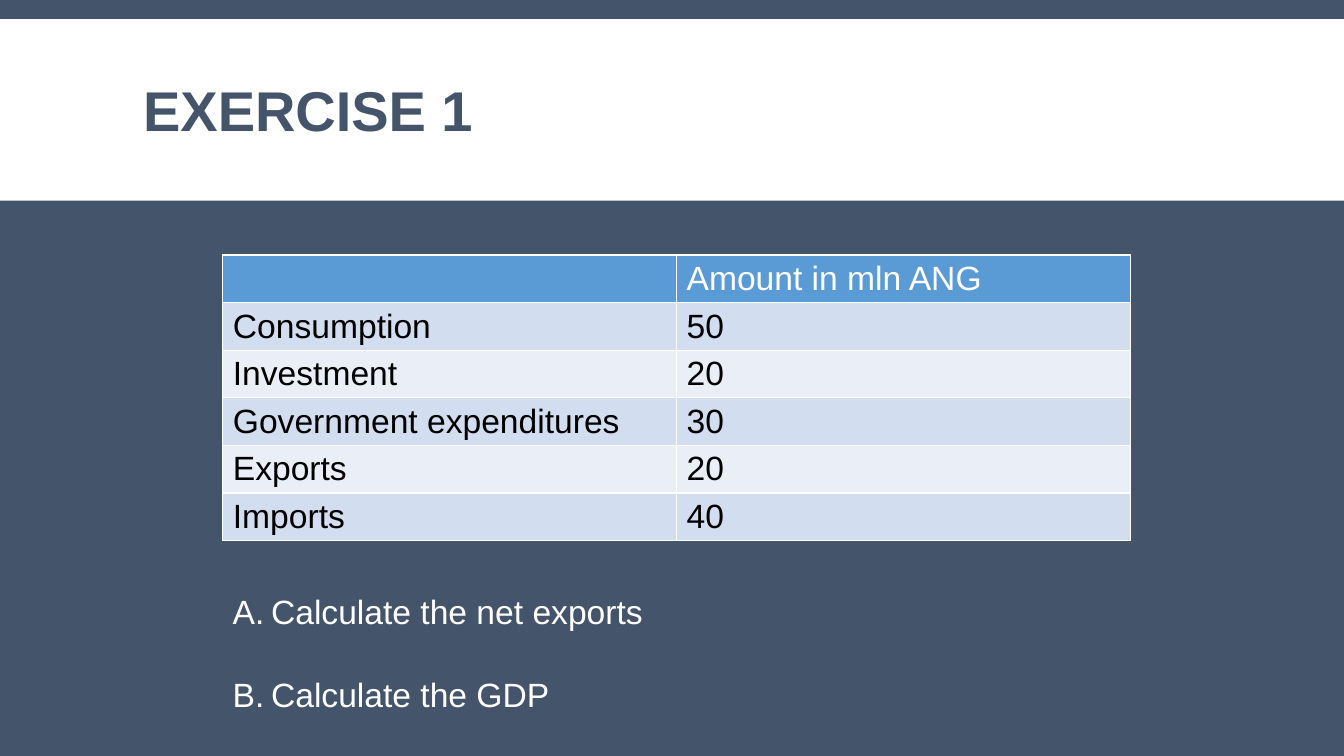
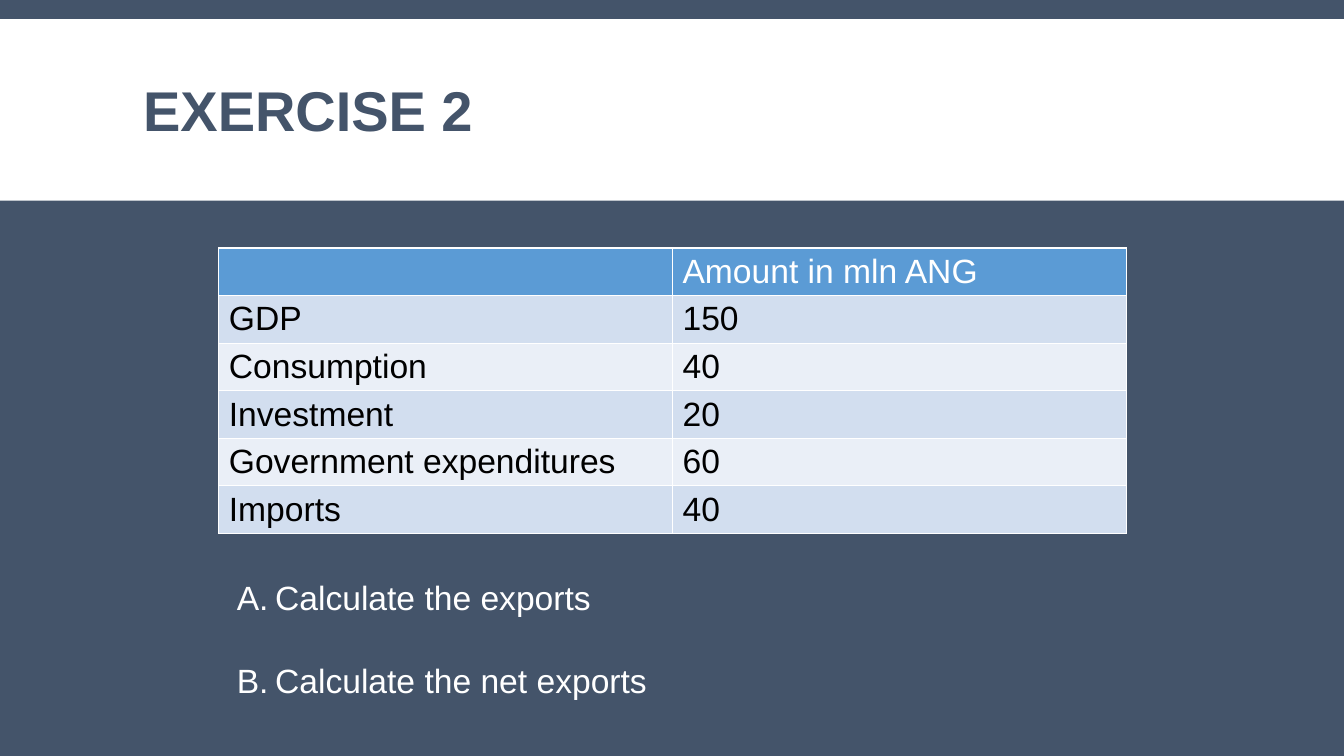
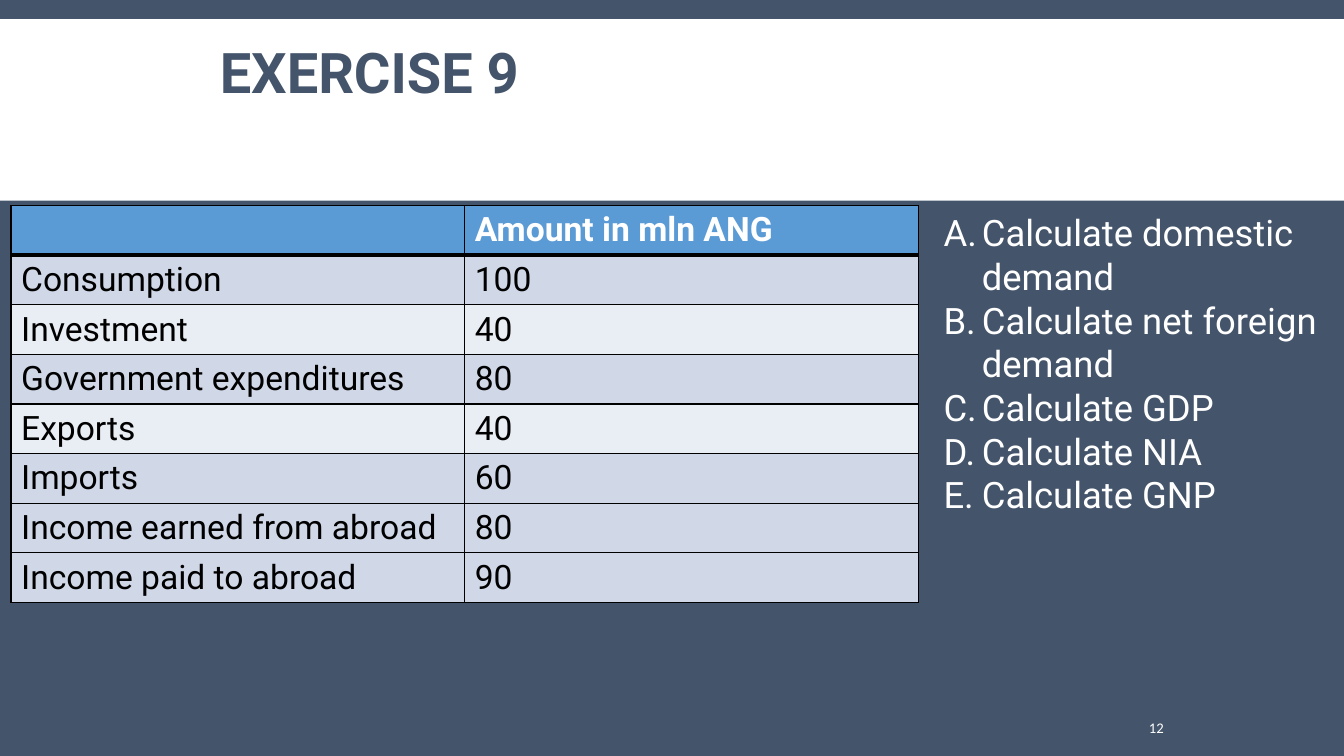
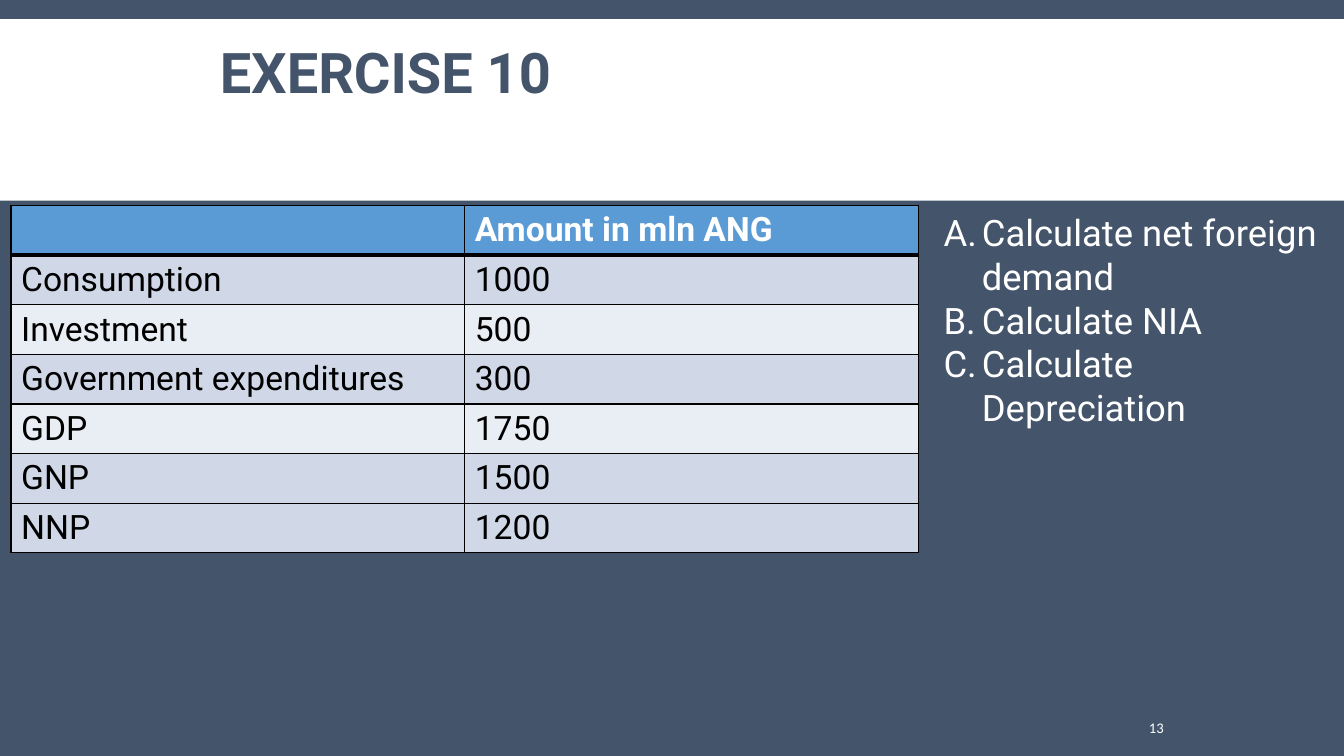
"""Build four national-accounts exercise slides."""
from dataclasses import dataclass

from lxml import etree
from pptx import Presentation
from pptx.dml.color import RGBColor
from pptx.enum import shapes, text
from pptx.oxml import ns
from pptx.util import Inches, Pt

COLORS = {
    "slate": "44546A",
    "white": "FFFFFF",
    "black": "000000",
    "header": "5B9BD5",
    "pale_blue": "D2DEEF",
    "paler_blue": "EAEFF7",
    "pale_grey": "D0D8E8",
    "paler_grey": "E9EDF4",
}
SLIDE_WIDTH, SLIDE_HEIGHT = 13.33, 7.5
COLUMN_WIDTH, ROW_HEIGHT = 4.5, 0.41
LIGHT_ROWS = (2, 4)
LIST_INDENT = 0.38


@dataclass(frozen=True)
class Frame:
    left: float
    top: float
    width: float
    height: float

    def lengths(self) -> tuple:
        return tuple(Inches(v) for v in (self.left, self.top, self.width, self.height))


@dataclass(frozen=True)
class Style:
    font: str
    title: Frame
    border: str
    header_rule: float
    header_bold: bool
    row_fill: str
    light_fill: str
    question_size: float
    question_gap: float


@dataclass(frozen=True)
class Exercise:
    title: str
    style: Style
    table_at: tuple[float, float]
    amounts: dict[str, int]
    questions_at: Frame
    questions: tuple[str, ...]
    page_number: str = ""


BASIC = Style("Arial", Frame(1.32, 0.31, 10.7, 1.65), "white", 1, False,
              "pale_blue", "paler_blue", 24, 31)
ADVANCED = Style("Roboto", Frame(2.08, 0.17, 9, 1.17), "black", 3, True,
                 "pale_grey", "paler_grey", 26, 0)
BAND = Frame(0, 0.19, SLIDE_WIDTH, 1.8)
PAGE_NUMBER = Frame(6.12, 7.02, 5.52, 0.4)

EXERCISES = (
    Exercise(
        "EXERCISE 1", BASIC, (2.21, 2.53),
        {"Consumption": 50, "Investment": 20, "Government expenditures": 30,
         "Exports": 20, "Imports": 40},
        Frame(2.21, 5.81, 8.92, 1.62),
        ("Calculate the net exports", "Calculate the GDP"),
    ),
    Exercise(
        "EXERCISE 2", BASIC, (2.17, 2.46),
        {"GDP": 150, "Consumption": 40, "Investment": 20,
         "Government expenditures": 60, "Imports": 40},
        Frame(2.25, 5.67, 8.92, 1.62),
        ("Calculate the exports", "Calculate the net exports"),
    ),
    Exercise(
        "EXERCISE 9", ADVANCED, (0.11, 2.04),
        {"Consumption": 100, "Investment": 40, "Government expenditures": 80,
         "Exports": 40, "Imports": 60, "Income earned from abroad": 80,
         "Income paid to abroad": 90},
        Frame(9.26, 2.04, 3.95, 3.47),
        ("Calculate domestic demand", "Calculate net foreign demand",
         "Calculate GDP", "Calculate NIA", "Calculate GNP"),
        "12",
    ),
    Exercise(
        "EXERCISE 10", ADVANCED, (0.11, 2.04),
        {"Consumption": 1000, "Investment": 500, "Government expenditures": 300,
         "GDP": 1750, "GNP": 1500, "NNP": 1200},
        Frame(9.26, 2.04, 3.95, 2.59),
        ("Calculate net foreign demand", "Calculate NIA", "Calculate Depreciation"),
        "13",
    ),
)


def rgb(color: str) -> RGBColor:
    return RGBColor.from_string(COLORS[color])


def set_font(para, name: str, size: float, color: str, bold: bool = False) -> None:
    para.font.name = name
    para.font.size = Pt(size)
    para.font.bold = bold
    para.font.color.rgb = rgb(color)


def add_layout_band(page, layout) -> None:
    band = page.shapes.add_shape(shapes.MSO_SHAPE.RECTANGLE, *BAND.lengths())
    band.shadow.inherit = False
    band.fill.solid()
    band.fill.fore_color.rgb = rgb("white")
    band.line.fill.background()
    layout.shapes.element.insert(2, band.element)


def format_title(page, exercise: Exercise) -> None:
    title = page.shapes.title
    title.left, title.top, title.width, title.height = exercise.style.title.lengths()
    frame = title.text_frame
    frame.text = exercise.title
    frame.auto_size = text.MSO_AUTO_SIZE.NONE
    frame.vertical_anchor = text.MSO_ANCHOR.MIDDLE
    para = frame.paragraphs[0]
    para.alignment = text.PP_ALIGN.LEFT
    para.line_spacing = 0.85
    set_font(para, exercise.style.font, 40, "slate", True)


def set_borders(cell, color: str, top: float, bottom: float) -> None:
    properties = cell._tc.get_or_add_tcPr()
    for side, width in (("L", 1), ("R", 1), ("T", top), ("B", bottom)):
        line = etree.SubElement(properties, ns.qn(f"a:ln{side}"), w=str(Pt(width)))
        fill = etree.SubElement(line, ns.qn("a:solidFill"))
        etree.SubElement(fill, ns.qn("a:srgbClr"), val=COLORS[color])


def add_amounts(page, exercise: Exercise) -> None:
    style = exercise.style
    rows = [("", "Amount in mln ANG"), *exercise.amounts.items()]
    left, top = exercise.table_at
    place = Frame(left, top, 2 * COLUMN_WIDTH, ROW_HEIGHT * len(rows))
    table = page.shapes.add_table(len(rows), 2, *place.lengths()).table
    table.first_row = table.horz_banding = False
    for index, values in enumerate(rows):
        is_header = index == 0
        fill = style.light_fill if index in LIGHT_ROWS else style.row_fill
        for column, value in enumerate(values):
            cell = table.cell(index, column)
            set_borders(cell, style.border,
                        top=style.header_rule if index == 1 else 1,
                        bottom=style.header_rule if is_header else 1)
            cell.fill.solid()
            cell.fill.fore_color.rgb = rgb("header" if is_header else fill)
            cell.text = str(value)
            set_font(cell.text_frame.paragraphs[0], style.font, 24,
                     "white" if is_header else "black",
                     is_header and style.header_bold)


def add_text_frame(page, place: Frame):
    frame = page.shapes.add_textbox(*place.lengths()).text_frame
    frame.word_wrap = True
    return frame


def add_questions(page, exercise: Exercise) -> None:
    style = exercise.style
    frame = add_text_frame(page, exercise.questions_at)
    for index, question in enumerate(exercise.questions):
        para = frame.add_paragraph() if index else frame.paragraphs[0]
        para.text = question
        properties = para._p.get_or_add_pPr()
        properties.set("marL", str(Inches(LIST_INDENT)))
        properties.set("indent", str(-Inches(LIST_INDENT)))
        etree.SubElement(properties, ns.qn("a:buAutoNum"), type="alphaUcPeriod")
        if index:
            para.space_before = Pt(style.question_gap)
        set_font(para, style.font, style.question_size, "white")


def add_page_number(page, number: str) -> None:
    frame = add_text_frame(page, PAGE_NUMBER)
    frame.vertical_anchor = text.MSO_ANCHOR.MIDDLE
    para = frame.paragraphs[0]
    para.text = number
    para.alignment = text.PP_ALIGN.RIGHT
    set_font(para, "Calibri", 10.5, "white")


def main() -> None:
    deck = Presentation()
    deck.slide_width, deck.slide_height = Inches(SLIDE_WIDTH), Inches(SLIDE_HEIGHT)
    background = deck.slide_master.background.fill
    background.solid()
    background.fore_color.rgb = rgb("slate")
    layout = deck.slide_layouts.get_by_name("Title Only")
    for index, exercise in enumerate(EXERCISES):
        page = deck.slides.add_slide(layout)
        if index == 0:
            add_layout_band(page, layout)
        format_title(page, exercise)
        add_amounts(page, exercise)
        if exercise.page_number:
            add_page_number(page, exercise.page_number)
        add_questions(page, exercise)
    deck.save("out.pptx")


if __name__ == "__main__":
    main()
